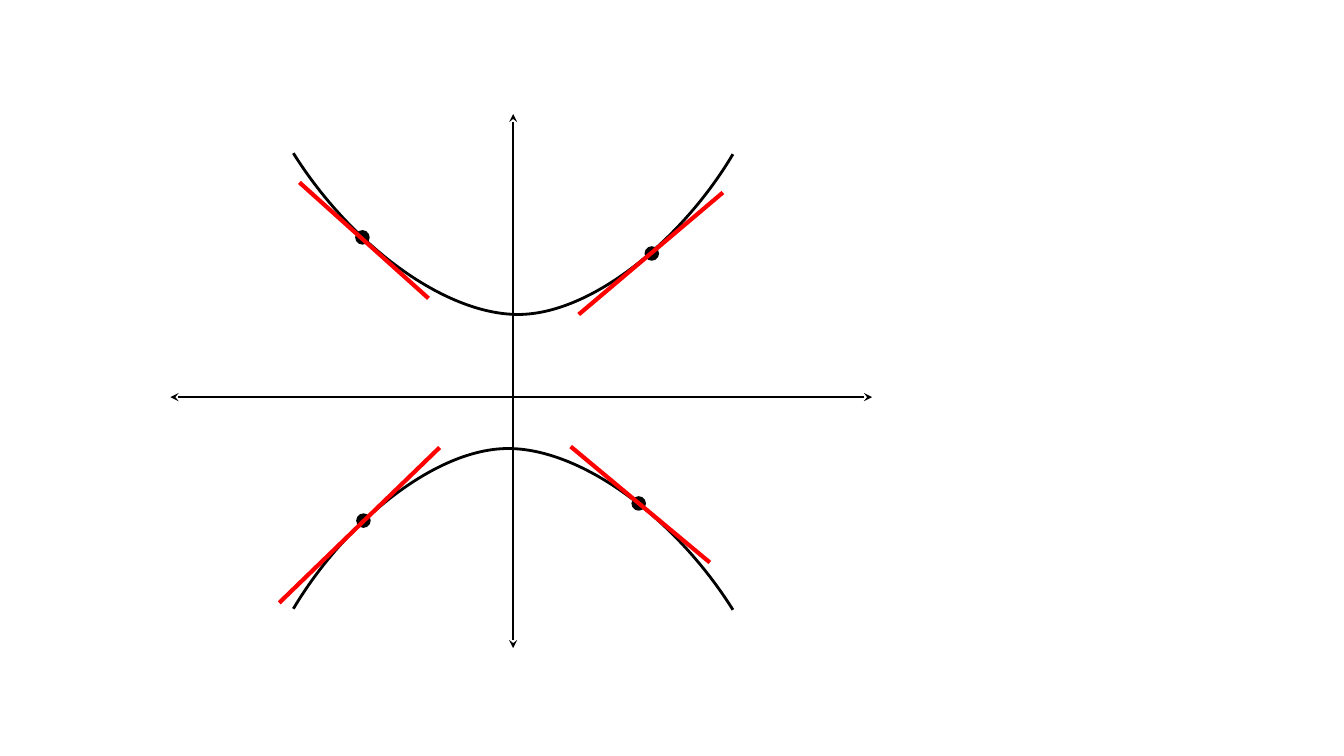
"""Draw two facing curves with tangent lines on a pair of axes."""
from dataclasses import dataclass

from lxml import etree
from pptx import Presentation
from pptx.dml.color import RGBColor
from pptx.enum.shapes import MSO_CONNECTOR, MSO_SHAPE
from pptx.oxml.ns import qn
from pptx.util import Pt

STRAIGHT = MSO_CONNECTOR.STRAIGHT
OVAL = MSO_SHAPE.OVAL
PX = 9144
SLIDE_WIDTH, SLIDE_HEIGHT = 1333, 750
DOT_SIZE = 13
BLANK_LAYOUT = 6


@dataclass(frozen=True)
class Theme:
    """Colours and line widths of the diagram."""
    ink: RGBColor = RGBColor(0x00, 0x00, 0x00)
    tangent: RGBColor = RGBColor(0xFF, 0x00, 0x00)
    axis_width: float = 1.25
    curve_width: float = 2
    dot_width: float = 1
    tangent_width: float = 3


THEME = Theme()

AXES = [((509, 643), (509, 113)), ((865, 394), (169, 394))]
UPPER_CURVE = [(291, 152), (348, 243), (441, 312), (514, 312),
               (586, 312), (676, 239), (727, 153)]
CURVE_CENTRE_SUM = (1018, 757)
TANGENTS = [
    ((640, 245), (574, 312), (717, 191)),
    ((354, 510), (277, 598), (436, 444)),
    ((627, 493), (566, 443), (704, 558)),
    ((353, 229), (297, 181), (425, 296)),
]


def style_line(line, color, width):
    """Set the colour and width of a line."""
    line.color.rgb = color
    line.width = Pt(width)


def add_line(slide, start, end, color, width):
    """Add a straight line without a shadow."""
    ends = [value * PX for value in (*start, *end)]
    connector = slide.shapes.add_connector(STRAIGHT, *ends)
    style_line(connector.line, color, width)
    etree.SubElement(connector._element.spPr, qn("a:effectLst"))
    return connector


def add_axis(slide, start, end):
    """Add an axis with a stealth arrowhead at both ends."""
    axis = add_line(slide, start, end, THEME.ink, THEME.axis_width)
    outline = axis.line._get_or_add_ln()
    for tag in ("a:headEnd", "a:tailEnd"):
        etree.SubElement(outline, qn(tag), type="stealth")


def add_curve(slide, points):
    """Add an open curve of cubic Bezier pieces through the points."""
    builder = slide.shapes.build_freeform(*points[0], scale=PX)
    builder.add_line_segments(points[1:], close=False)
    curve = builder.convert_to_shape()
    curve.shadow.inherit = False
    curve.fill.background()
    style_line(curve.line, THEME.ink, THEME.curve_width)
    outline = next(curve._element.iter(qn("a:path")))
    segments = outline.findall(qn("a:lnTo"))
    for first in range(0, len(segments), 3):
        bezier = etree.SubElement(outline, qn("a:cubicBezTo"))
        for segment in segments[first:first + 3]:
            bezier.append(segment[0])
            outline.remove(segment)


def add_tangent(slide, corner, start, end):
    """Add a point of contact and the tangent line through it."""
    left, top = corner
    dot = slide.shapes.add_shape(OVAL, left * PX, top * PX,
                                 DOT_SIZE * PX, DOT_SIZE * PX)
    dot.shadow.inherit = False
    dot.fill.solid()
    dot.fill.fore_color.rgb = THEME.ink
    style_line(dot.line, THEME.ink, THEME.dot_width)
    add_line(slide, start, end, THEME.tangent, THEME.tangent_width)


def main():
    """Build and save the slide."""
    deck = Presentation()
    deck.slide_width = SLIDE_WIDTH * PX
    deck.slide_height = SLIDE_HEIGHT * PX
    slide = deck.slides.add_slide(deck.slide_layouts[BLANK_LAYOUT])
    for start, end in AXES:
        add_axis(slide, start, end)
    sum_x, sum_y = CURVE_CENTRE_SUM
    lower_curve = [(sum_x - x, sum_y - y) for x, y in UPPER_CURVE]
    for points in (UPPER_CURVE, lower_curve):
        add_curve(slide, points)
    for corner, start, end in TANGENTS:
        add_tangent(slide, corner, start, end)
    deck.save("out.pptx")


if __name__ == "__main__":
    main()
